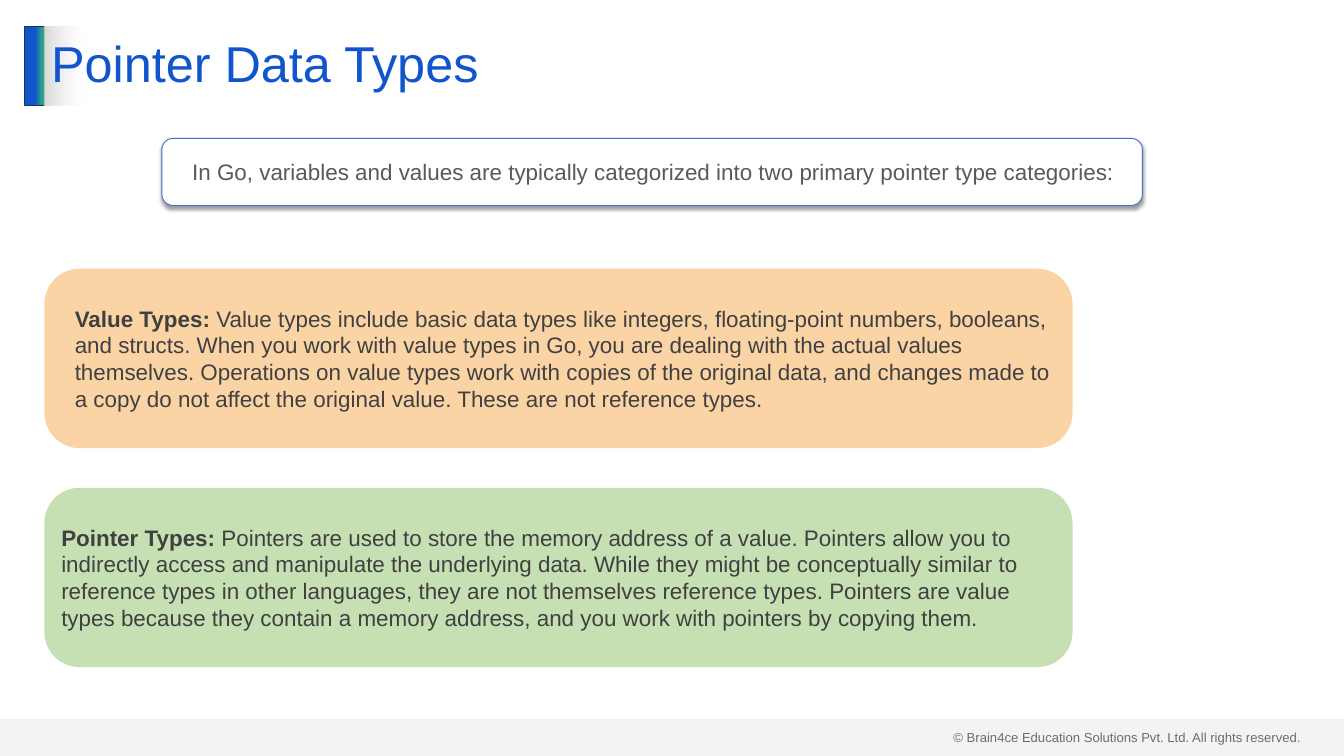
from lxml import etree
from pptx import Presentation
from pptx import util as u
from pptx.dml.color import RGBColor
from pptx.enum import shapes, text
from pptx.oxml import parse_xml
from pptx.oxml.ns import nsdecls, qn

# Content: each paragraph is a list of (words, bold)
TITLE = [("Pointer Data Types", False)]
INTRO = [("In Go, variables and values are typically categorized into two primary "
          "pointer type categories:", False)]
CARDS = [  # words, fill, left indent in cm
    ([("Value Types: ", True),
      ("Value types include basic data types like integers, floating-point numbers, "
       "booleans, and structs. When you work with value types in Go, you are dealing "
       "with the actual values themselves. Operations on value types work with copies "
       "of the original data, and changes made to a copy do not affect the original "
       "value. These are not reference types.", False)], "value", 0.51),
    ([("Pointer Types: ", True),
      ("Pointers are used to store the memory address of a value. Pointers allow you "
       "to indirectly access and manipulate the underlying data. While they might be "
       "conceptually similar to reference types in other languages, they are not "
       "themselves reference types. Pointers are value types because they contain a "
       "memory address, and you work with pointers by copying them.", False)],
     "pointer", 0),
]
COPYRIGHT = [("© Brain4ce Education Solutions Pvt. Ltd. All rights reserved.", False)]

THEME = {
    "font": "Arial",
    "size": {"title": 54, "body": 24, "footer": 14},
    "color": {"title": "1155CC", "body": "404040", "intro": "595959", "white": "FFFFFF",
              "border": "4472C4", "accent_line": "1E3256", "band": "D9D9D9",
              "value": "FABE79", "pointer": "A9D18E"},
    "accent_stops": [(51, "1155CC", 100), (90, "2EA87D", 100), (100, "2EA87D", 100)],
    "title_stops": [(0, "D9D9D9", 100), (3, "FFFFFF", 50), (100, "FFFFFF", 50)],
}

# Layout in cm
WIDTH, HEIGHT = 50.8, 28.58
HEADER_TOP, HEADER_HEIGHT = 0.99, 3
MARGIN = 1.68
CARD_TOP, CARD_WIDTH, CARD_HEIGHT, CARD_PITCH = 10.16, 38.86, 6.78, 8.28
BAND_HEIGHT = 1.4


def rgb(name):
    return RGBColor.from_string(THEME["color"][name])


def add_box(page, preset, at, fill=None, alpha=None, line=None):
    box = page.shapes.add_shape(preset, *(u.Cm(value) for value in at))
    box.shadow.inherit = False
    if fill:
        box.fill.solid()
        box.fill.fore_color.rgb = rgb(fill)
    if alpha:
        color = box.fill._xPr.find(".//" + qn("a:srgbClr"))
        etree.SubElement(color, qn("a:alpha")).set("val", str(alpha * 1000))
    if line:
        box.line.color.rgb = rgb(line)
        box.line.width = u.Pt(1)
    else:
        box.line.fill.background()
    return box


def set_gradient(box, stops):
    box.fill.background()
    blank = box._element.spPr.find(qn("a:noFill"))
    marks = "".join(
        f'<a:gs pos="{place * 1000}"><a:srgbClr val="{color}">'
        f'<a:alpha val="{alpha * 1000}"/></a:srgbClr></a:gs>'
        for place, color, alpha in stops)
    blank.getparent().replace(blank, parse_xml(
        f'<a:gradFill {nsdecls("a")} rotWithShape="1"><a:gsLst>{marks}</a:gsLst>'
        '<a:lin ang="0" scaled="0"/></a:gradFill>'))


def add_shadow(box):
    effects = box._element.spPr.find(qn("a:effectLst"))
    effects.append(parse_xml(
        f'<a:outerShdw {nsdecls("a")} blurRad="{u.Pt(4)}" dist="{u.Pt(3)}" dir="5400000"'
        ' algn="t" rotWithShape="0"><a:srgbClr val="000000"><a:alpha val="40000"/>'
        '</a:srgbClr></a:outerShdw>'))


def write(box, words, size, color, indent=0, wrap=True):
    frame = box.text_frame
    frame.word_wrap = wrap
    frame.vertical_anchor = text.MSO_ANCHOR.MIDDLE
    para = frame.paragraphs[0]
    para.alignment = text.PP_ALIGN.LEFT
    if indent:
        para._p.get_or_add_pPr().set("marL", str(u.Cm(indent)))
    for wording, bold in words:
        span = para.add_run()
        span.text = wording
        span.font.name = THEME["font"]
        span.font.size = u.Pt(THEME["size"][size])
        span.font.bold = bold
        span.font.color.rgb = rgb(color)
    return para


def main():
    deck = Presentation()
    deck.slide_width, deck.slide_height = u.Cm(WIDTH), u.Cm(HEIGHT)
    page = deck.slides.add_slide(deck.slide_layouts[6])
    rect = shapes.MSO_SHAPE.RECTANGLE
    rounded = shapes.MSO_SHAPE.ROUNDED_RECTANGLE

    # Copyright line under the translucent footer band
    footer = page.shapes.add_textbox(u.Cm(35.79), u.Cm(27.43), u.Cm(13.74), u.Cm(0.86))
    write(footer, COPYRIGHT, "footer", "body", wrap=False)
    add_box(page, rect, (0, HEIGHT - BAND_HEIGHT, WIDTH, BAND_HEIGHT), "band", alpha=29)

    # Accent bar and title
    accent = add_box(page, rect, (0.94, HEADER_TOP, 0.76, HEADER_HEIGHT), line="accent_line")
    set_gradient(accent, THEME["accent_stops"])
    title = add_box(page, rect, (MARGIN, HEADER_TOP, 47.42, HEADER_HEIGHT))
    set_gradient(title, THEME["title_stops"])
    write(title, TITLE, "title", "title").line_spacing = 0.9

    # Introduction
    intro = add_box(page, rounded, (6.12, 5.23, 37.06, 2.54), "white", line="border")
    add_shadow(intro)
    intro.text_frame.margin_left = intro.text_frame.margin_right = u.Cm(0.51)
    write(intro, INTRO, "body", "intro", indent=0.51)

    # Cards
    for row, (words, fill, indent) in enumerate(CARDS):
        top = CARD_TOP + row * CARD_PITCH
        card = add_box(page, rounded, (MARGIN, top, CARD_WIDTH, CARD_HEIGHT), fill, alpha=66)
        card.adjustments[0] = 0.195
        write(card, words, "body", "body", indent)

    deck.save("out.pptx")


if __name__ == "__main__":
    main()
